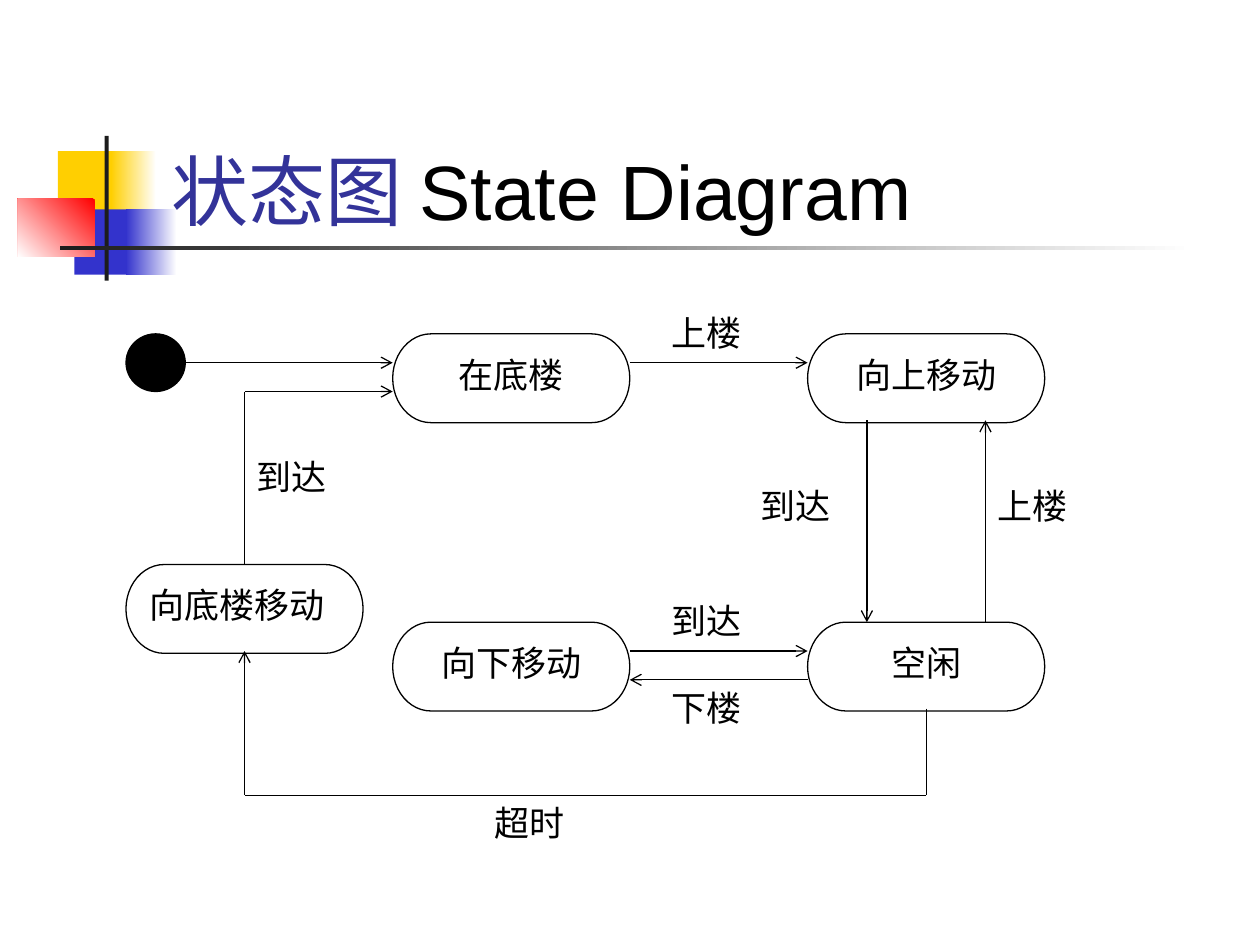
"""Build the elevator state diagram slide."""
import pptx
import pptx.dml.color
import pptx.enum.shapes
import pptx.enum.text
import pptx.oxml.ns
import pptx.util
from lxml import etree

Cm, Pt = pptx.util.Cm, pptx.util.Pt
SHAPE = pptx.enum.shapes.MSO_SHAPE
ALIGN = pptx.enum.text.PP_ALIGN
ANCHOR = pptx.enum.text.MSO_ANCHOR

COLORS = {
    "white": "FFFFFF", "black": "000000", "yellow": "FFCF01", "blue": "3333CC",
    "red": "FF0000", "charcoal": "1C1C1C", "title": "333399",
}
TITLE = [("状态图", "Karla", "title"), (" State Diagram", "Arial", "black")]

# (left, top, width, height), colours, gradient angle
DECORATIONS = [
    ((1.17, 3.05, 1.22, 1.32), ["yellow"], None),
    ((2.24, 3.05, 0.91, 1.32), ["white", "yellow"], 180),
    ((1.5, 4.22, 1.17, 1.32), ["blue"], None),
    ((2.54, 4.22, 1.02, 1.32), ["white", "blue"], 180),
    ((0.36, 4.01, 1.55, 1.17), ["red", "white"], 225),
    ((2.11, 2.74, 0.08, 2.92), ["charcoal"], None),
    ((1.22, 4.95, 22.86, 0.09), ["white", "charcoal"], 180),
]

GRID_LEFT, GRID_TOP = 2.54, 6.15
STEP_X, STEP_Y = 18.52 / 31, 9.88 / 17
LABEL_SIZE, STATE_SIZE, START_SIZE = (5, 3), (8, 3.08), (2, 2)
START = (0, 1)
LABELS = [
    ("超时", 12, 17), ("到达", 18, 10), ("下楼", 18, 13), ("上楼", 29, 6),
    ("到达", 21, 6), ("上楼", 18, 0), ("到达", 4, 5),
]
STATES = [
    ("在底楼", 9, 1, ALIGN.CENTER), ("向上移动", 23, 1, ALIGN.CENTER),
    ("向底楼移动", 0, 9, ALIGN.JUSTIFY), ("向下移动", 9, 11, ALIGN.CENTER),
    ("空闲", 23, 11, ALIGN.CENTER),
]
TRANSITIONS = [
    [(2, 2), (9, 2)],
    [(17, 2), (23, 2)],
    [(25, 4), (25, 11)],
    [(17, 12), (23, 12)],
    [(23, 13), (17, 13)],
    [(27, 14), (27, 17), (4, 17), (4, 12)],
    [(29, 11), (29, 4)],
    [(4, 9), (4, 3), (9, 3)],
]


def color(name):
    return pptx.dml.color.RGBColor.from_string(COLORS[name])


def grid_point(column, row):
    return Cm(GRID_LEFT + column * STEP_X), Cm(GRID_TOP + row * STEP_Y)


def grid_box(column, row, size):
    return (*grid_point(column, row), Cm(size[0] * STEP_X), Cm(size[1] * STEP_Y))


def add_run(paragraph, text, font_name, size, color_name):
    run = paragraph.add_run()
    run.text = text
    run.font.name = font_name
    run.font.size = Pt(size)
    run.font.color.rgb = color(color_name)


def add_filled(slide, kind, box, fill, outlined=False):
    shape = slide.shapes.add_shape(kind, *box)
    shape.shadow.inherit = False
    shape.fill.solid()
    shape.fill.fore_color.rgb = color(fill)
    if outlined:
        shape.line.color.rgb = color("black")
        shape.line.width = Pt(0.75)
    else:
        shape.line.fill.background()
    return shape


def write_text(shape, text, alignment):
    frame = shape.text_frame
    frame.word_wrap = True
    frame.vertical_anchor = ANCHOR.TOP
    paragraph = frame.paragraphs[0]
    paragraph.alignment = alignment
    add_run(paragraph, text, "Times New Roman", 20, "black")


def add_line(slide, start, end, arrow):
    connector = slide.shapes.add_connector(
        pptx.enum.shapes.MSO_CONNECTOR.STRAIGHT, *grid_point(*start), *grid_point(*end))
    connector.line.color.rgb = color("black")
    connector.line.width = Pt(0.75)
    qn = pptx.oxml.ns.qn
    if arrow:
        etree.SubElement(connector.line._get_or_add_ln(), qn("a:tailEnd"), type="arrow")
    etree.SubElement(connector._element.spPr, qn("a:effectLst"))


def add_decorations(slide):
    for box, names, angle in DECORATIONS:
        shape = add_filled(slide, SHAPE.RECTANGLE, [Cm(value) for value in box], names[0])
        if angle is not None:
            shape.fill.gradient()
            shape.fill.gradient_angle = angle
            for stop, name, position in zip(shape.fill.gradient_stops, names, (0, 1)):
                stop.color.rgb = color(name)
                stop.position = position


def add_title(slide):
    frame = slide.shapes.add_textbox(Cm(3.2), Cm(1.7), Cm(21.64), Cm(3.18)).text_frame
    frame.word_wrap = True
    frame.vertical_anchor = ANCHOR.BOTTOM
    for text, font_name, color_name in TITLE:
        add_run(frame.paragraphs[0], text, font_name, 44, color_name)


def add_diagram(slide):
    for text, column, row in LABELS:
        label = add_filled(slide, SHAPE.RECTANGLE, grid_box(column, row, LABEL_SIZE), "white")
        write_text(label, text, ALIGN.JUSTIFY)
    add_filled(slide, SHAPE.OVAL, grid_box(*START, START_SIZE), "black", outlined=True)
    for text, column, row, alignment in STATES:
        state = add_filled(slide, SHAPE.FLOWCHART_TERMINATOR,
                           grid_box(column, row, STATE_SIZE), "white", outlined=True)
        write_text(state, text, alignment)
    for points in TRANSITIONS:
        for start, end in zip(points, points[1:]):
            add_line(slide, start, end, arrow=end == points[-1])


def main():
    presentation = pptx.Presentation()
    presentation.slide_width, presentation.slide_height = Cm(25.4), Cm(19.05)
    slide = presentation.slides.add_slide(presentation.slide_layouts[6])
    add_decorations(slide)
    add_title(slide)
    add_diagram(slide)
    presentation.save("out.pptx")


if __name__ == "__main__":
    main()
